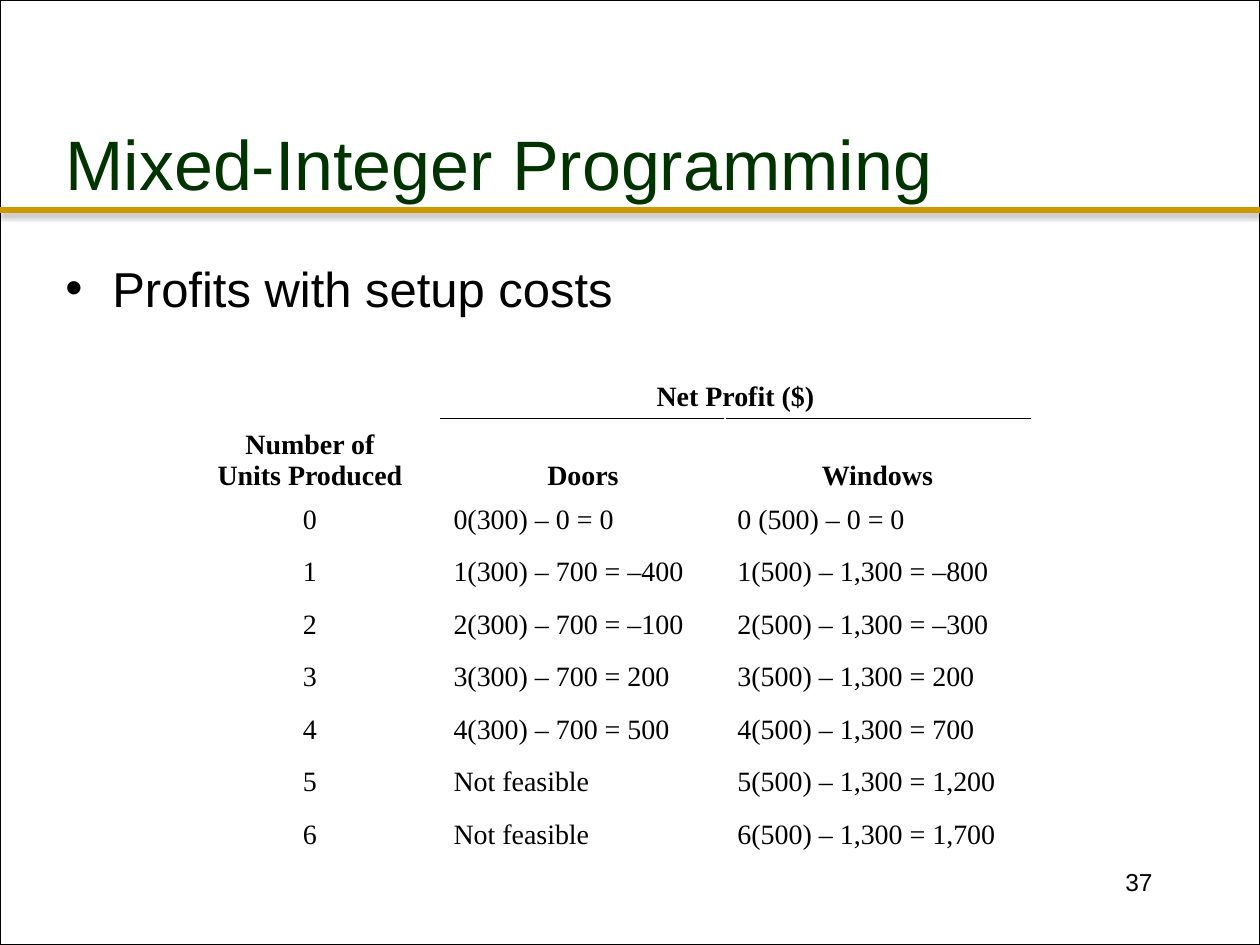
from copy import deepcopy

from lxml import etree
from pptx import Presentation, util as u
from pptx.dml.color import RGBColor
from pptx.enum import shapes, text
from pptx.oxml import parse_xml
from pptx.oxml.ns import nsdecls, qn

PX = 914400 // 126
BLACK = RGBColor(0, 0, 0)
WHITE = RGBColor(255, 255, 255)
GREEN = RGBColor(0, 0x33, 0)
GOLD = RGBColor(0xCC, 0x99, 0)
LEFT, MID, RIGHT = (text.PP_ALIGN.LEFT, text.PP_ALIGN.CENTER,
                    text.PP_ALIGN.RIGHT)
TOP, CENTER, LOW = (text.MSO_ANCHOR.TOP, text.MSO_ANCHOR.MIDDLE,
                    text.MSO_ANCHOR.BOTTOM)


def px(*vals):
    """Turn picture pixels into EMU."""
    return [u.Emu(v * PX) for v in vals]


class Deck:
    """Hold the style and the current slide."""

    base = {"name": "Arial", "size": 16, "bold": False, "color": BLACK}

    def __init__(self, wide, high):
        """Start a deck with one blank slide."""
        self.prs = Presentation()
        self.prs.slide_width, self.prs.slide_height = px(wide, high)
        self.slide = self.prs.slides.add_slide(self.prs.slide_layouts[6])

    def style(self, para, align=LEFT, **form):
        """Format the runs and line breaks of a paragraph."""
        para.alignment = align
        form = {**self.base, **form}
        color = form.pop("color")
        form["size"] = u.Pt(form["size"])
        for run in para.runs:
            for key, val in form.items():
                setattr(run.font, key, val)
            run.font.color.rgb = color
        for gap in para._p.findall(qn("a:br")):
            gap.insert(0, deepcopy(para.runs[0]._r.rPr))

    def frame(self, box):
        """Add a framed white panel."""
        panel = self.slide.shapes.add_shape(
            shapes.MSO_SHAPE.RECTANGLE, *px(*box))
        panel.shadow.inherit = False
        panel.fill.solid()
        panel.fill.fore_color.rgb = WHITE
        panel.line.color.rgb = BLACK
        panel.line.width = u.Pt(0.75)

    def rule(self, ends, color, width):
        """Add a straight line with a soft shadow below it."""
        line = self.slide.shapes.add_connector(
            shapes.MSO_CONNECTOR.STRAIGHT, *px(*ends))
        line.line.color.rgb = color
        line.line.width = u.Pt(width)
        line._element.spPr.append(parse_xml(
            f'<a:effectLst {nsdecls("a")}><a:outerShdw blurRad="39370" '
            'dist="22860" dir="5400000" rotWithShape="0">'
            '<a:srgbClr val="000000"><a:alpha val="35000"/></a:srgbClr>'
            '</a:outerShdw></a:effectLst>'))

    def label(self, box, words, anchor=TOP, **form):
        """Add a text box and return its paragraph."""
        frame = self.slide.shapes.add_textbox(*px(*box)).text_frame
        frame.word_wrap = True
        frame.vertical_anchor = anchor
        para = frame.paragraphs[0]
        para.text = words
        self.style(para, **form)
        return para

    def bullet(self, box, words, indent, **form):
        """Add a text box with one bulleted paragraph."""
        para = self.label(box, words, **form)
        para.space_before = u.Pt(5)
        props = para._p.get_or_add_pPr()
        props.set("marL", str(indent * PX))
        props.set("indent", str(-indent * PX))
        etree.SubElement(props, qn("a:buFont")).set("typeface", "Arial")
        etree.SubElement(props, qn("a:buChar")).set("char", "•")

    def edge(self, cell, tag):
        """Draw a thin black border on one side of a cell."""
        cell._tc.get_or_add_tcPr().insert(0, parse_xml(
            f'<a:{tag} {nsdecls("a")} w="12700"><a:solidFill>'
            f'<a:srgbClr val="000000"/></a:solidFill></a:{tag}>'))

    def table(self, box, cols, highs, rows, heads):
        """Add a plain table whose first rows are bold headings."""
        grid = self.slide.shapes.add_table(
            len(rows), len(cols), *px(*box)).table
        grid.first_row = grid.horz_banding = False
        for col, wide in zip(grid.columns, px(*cols)):
            col.width = wide
        for row, high in zip(grid.rows, px(*highs)):
            row.height = high
        for r, row in enumerate(rows):
            head = r < heads
            for c, words in enumerate(row):
                cell = grid.cell(r, c)
                cell.fill.background()
                cell.vertical_anchor = LOW if head else TOP
                para = cell.text_frame.paragraphs[0]
                para.text = words
                self.style(para, MID if head or c == 0 else LEFT,
                           name="Times New Roman", bold=head)
        return grid


def profit(n, price, setup, limit):
    """Spell out the net profit of n units."""
    if n > limit:
        return "Not feasible"
    cost = setup if n else 0
    net = f"{n * price - cost:,}".replace("-", "–")
    return f"{n}({price}) – {cost:,} = {net}"


deck = Deck(1260, 945)
deck.frame((0, 0, 1260, 945))
deck.rule((0, 210, 1260, 210), GOLD, 3)
deck.label((53, 84, 1155, 158), "Mixed-Integer Programming", CENTER,
           size=40, color=GREEN)
deck.bullet((53, 252, 1155, 588), "Profits with setup costs", 47, size=28)

rows = [["", "Net Profit ($)", ""],
        ["Number of\vUnits Produced", "Doors", "Windows"]]
rows += [[str(n), profit(n, 300, 700, 4), profit(n, 500, 1300, 6)]
         for n in range(7)]
rows[2][2] = "0 (500) – 0 = 0"
grid = deck.table((179, 368, 851, 479), (262, 284, 305),
                  [42, 69] + [52, 53] * 3 + [53], rows, 2)
grid.cell(0, 1).merge(grid.cell(0, 2))
for c in (1, 2):
    deck.edge(grid.cell(0, c), "lnB")
    deck.edge(grid.cell(1, c), "lnT")

deck.label((903, 861, 262, 63), "37", align=RIGHT, size=14)
deck.prs.save("out.pptx")
